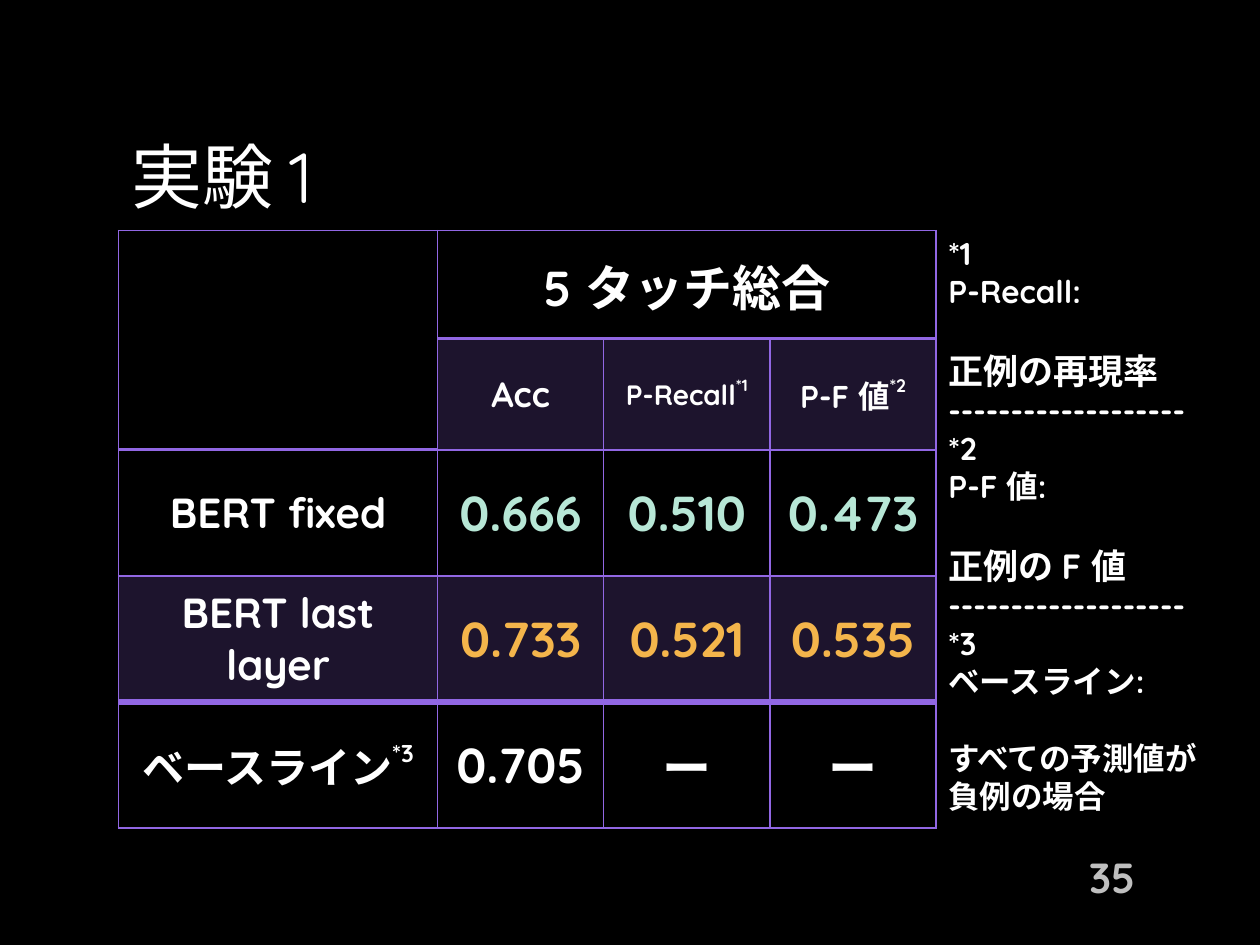
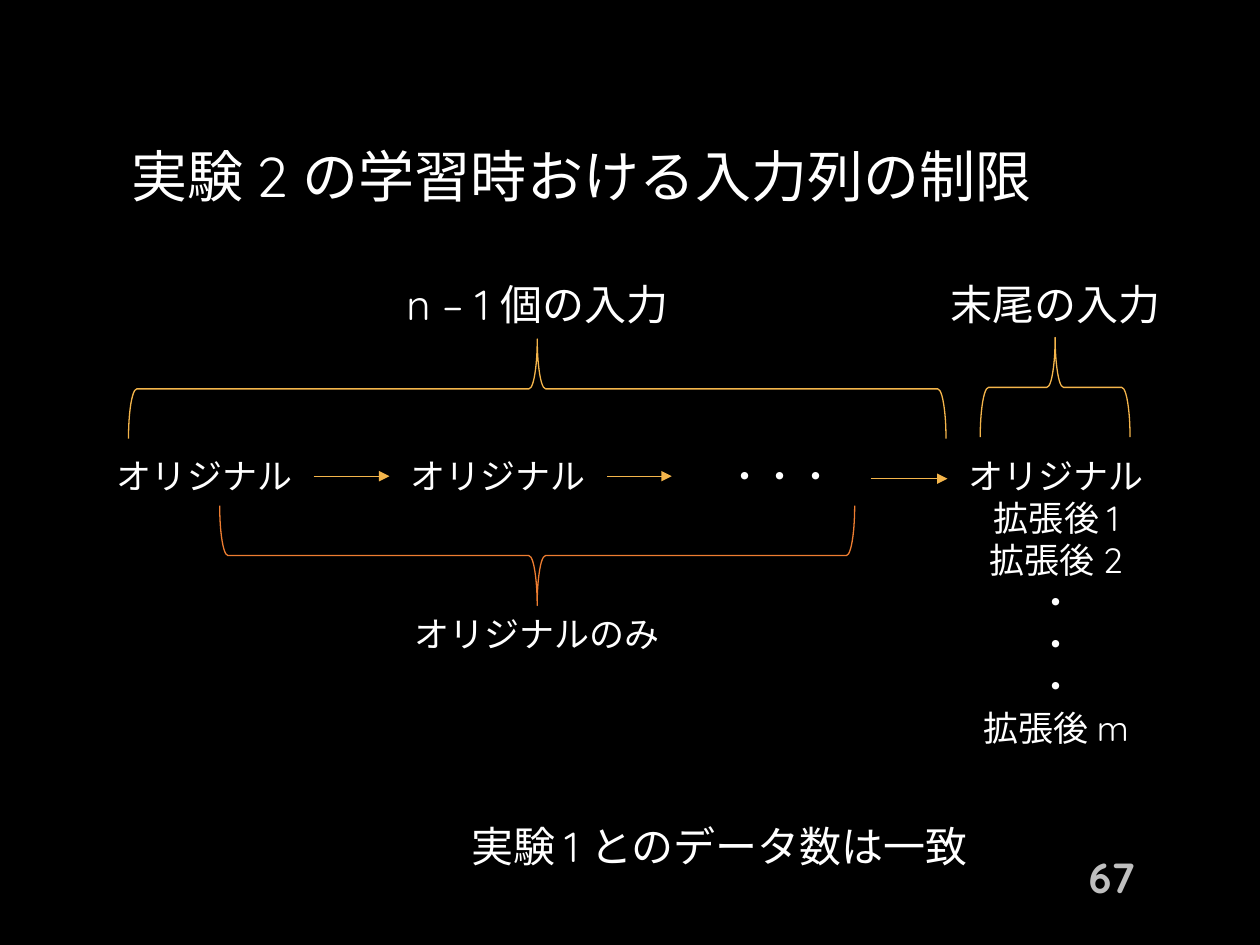
from lxml import etree
from pptx import Presentation
from pptx.dml.color import RGBColor
from pptx.enum.lang import MSO_LANGUAGE_ID
from pptx.enum.shapes import MSO_CONNECTOR, MSO_SHAPE
from pptx.enum.text import MSO_ANCHOR, MSO_AUTO_SIZE, PP_ALIGN
from pptx.oxml.ns import qn
from pptx.util import Cm, Pt

LEFT, CENTER, RIGHT = PP_ALIGN.LEFT, PP_ALIGN.CENTER, PP_ALIGN.RIGHT
TOP, MIDDLE = MSO_ANCHOR.TOP, MSO_ANCHOR.MIDDLE
NO_AUTOFIT = MSO_AUTO_SIZE.NONE
STRAIGHT = MSO_CONNECTOR.STRAIGHT
LEFT_BRACE = MSO_SHAPE.LEFT_BRACE
JAPANESE = MSO_LANGUAGE_ID.JAPANESE
LEFT_SIDE, RIGHT_SIDE = 1, 3

FONT = "Quicksand"
COLORS = {
    "background": "000000",
    "text": "FFFFFF",
    "number": "BFBFBF",
    "grid": "9167E3",
    "fixed": "B7E7D6",
    "accent": "F4B54B",
    "orange": "ED7D31",
}
TITLE_AREA = (2.39, 2.39, 20.62, 2.29)
NUMBER_AREA = (19.84, 17.17, 3.3, 1.02)

RESULTS = {
    "title": ("実験 1", 40.5),
    "number": "35",
    "position": (2.39, 4.65),
    "columns": [6.43, 3.35, 3.35, 3.35],
    "rows": [2.18, 2.24, 2.54, 2.54, 2.54],
    "cells": [
        [None, ("5 タッチ総合", 28, "text"), None, None],
        [None, ("Acc", 20, "text"), ("P-Recall", 16, "text", "*1"),
         ("P-F 値", 18, "text", "*2")],
        [("BERT fixed", 24, "text"), ("0.666", 28, "fixed"),
         ("0.510", 28, "fixed"), ("0.473", 28, "fixed")],
        [("BERT last layer", 24, "text"), ("0.733", 28, "accent"),
         ("0.521", 28, "accent"), ("0.535", 28, "accent")],
        [("ベースライン", 24, "text", "*3"), ("0.705", 28, "text"),
         ("ー", 28, "text"), ("ー", 28, "text")],
    ],
    "merges": [((0, 0), (1, 0)), ((0, 1), (0, 3))],
    "shaded": [(1, 1), (1, 2), (1, 3), (3, 0), (3, 1), (3, 2), (3, 3)],
}
NOTES_AREA = (18.87, 4.6, 6.17, 12.47)
NOTES = [
    ("*1", "P-Recall:", ["正例の再現率"], 20),
    ("*2", "P-F 値:", ["正例の F 値"], 20),
    ("*3", "ベースライン:", ["すべての予測値が", "負例の場合"], 18),
]
DIVIDER = "-------------------"
NOTE_GAP = 22.5

CHAIN = {
    "title": ("実験 2 の学習時おける入力列の制限", 32),
    "number": "67",
    "top": 9.04,
    "width": 4.39,
    "line_height": 0.87,
    "inset": 0.25,
    "steps": [
        (1.93, ["オリジナル"]),
        (7.85, ["オリジナル"]),
        (13.54, ["・・・"]),
        (19.1, ["オリジナル", "拡張後 1", "拡張後 2", "・", "・", "・", "拡張後 m"]),
    ],
    "last_arrow": (17.55, 9.65, 19.1, 9.65),
}
LABELS = [
    ("n – 1 個の入力", (7.29, 5.49, 7.09, 1.27), 24, CENTER),
    ("末尾の入力", (18.72, 5.49, 5.11, 1.27), 24, CENTER),
    ("オリジナルのみ", (8.1, 12.22, 5.46, 1.12), 20, CENTER),
    ("実験 1 とのデータ数は一致", (9.25, 16.41, 11.61, 1.27), 24, LEFT),
]
BRACE_DEPTH = 2.01
BRACES = [
    ((10.83, 7.84), 16.48, 90, "accent"),
    ((10.83, 11.2), 12.8, 270, "orange"),
    ((21.27, 7.81), 3.02, 90, "accent"),
]


def color(name):
    return RGBColor.from_string(COLORS[name])


def lengths(values):
    return [Cm(value) for value in values]


def add_run(paragraph, text, size, color_name="text", bold=False, baseline=None):
    run = paragraph.add_run()
    run.text = text
    formats = {"name": FONT, "size": Pt(size), "bold": bold, "language_id": JAPANESE}
    for attribute, value in formats.items():
        setattr(run.font, attribute, value)
    run.font.color.rgb = color(color_name)
    if baseline:
        run.font._element.set("baseline", str(baseline * 1000))


def add_text(slide, area, lines, alignment=LEFT, anchor=TOP):
    frame = slide.shapes.add_textbox(*lengths(area)).text_frame
    formats = {"word_wrap": True, "auto_size": NO_AUTOFIT, "vertical_anchor": anchor}
    for attribute, value in formats.items():
        setattr(frame, attribute, value)
    for index, line in enumerate(lines):
        paragraph = frame.add_paragraph() if index else frame.paragraphs[0]
        paragraph.alignment = alignment
        if line.get("gap"):
            paragraph.space_before = Pt(line["gap"])
        add_run(paragraph, **{key: line[key] for key in line if key != "gap"})
    return frame._parent


def add_slide(presentation, content):
    slide = presentation.slides.add_slide(presentation.slide_layouts[5])
    title = slide.shapes.title
    title.left, title.top, title.width, title.height = lengths(TITLE_AREA)
    title.text_frame.auto_size = NO_AUTOFIT
    title.text_frame.vertical_anchor = MIDDLE
    title.text_frame.paragraphs[0].alignment = LEFT
    add_run(title.text_frame.paragraphs[0], *content["title"])
    number = {"text": content["number"], "size": 24, "color_name": "number", "bold": True}
    add_text(slide, NUMBER_AREA, [number], RIGHT, MIDDLE)
    return slide


def edge_width(edge, column):
    if edge == 4:
        return 4
    return 2 if edge == 1 or (edge, column) == (2, 0) else 1


def set_borders(cell, row, column):
    properties = cell._tc.get_or_add_tcPr()
    widths = {"lnL": 1, "lnR": 1, "lnT": edge_width(row, column),
              "lnB": edge_width(row + 1, column)}
    for tag, width in widths.items():
        line = etree.SubElement(properties, qn(f"a:{tag}"), w=str(Pt(width)))
        fill = etree.SubElement(line, qn("a:solidFill"))
        etree.SubElement(fill, qn("a:srgbClr"), val=COLORS["grid"])


def shade(cell):
    cell.fill.solid()
    cell.fill.fore_color.rgb = color("grid")
    for element in cell._tc.tcPr.find(qn("a:solidFill")):
        etree.SubElement(element, qn("a:alpha"), val="20000")


def format_cell(cell, row, column, content):
    set_borders(cell, row, column)
    if (row, column) in RESULTS["shaded"]:
        shade(cell)
    else:
        cell.fill.background()
    formats = {"vertical_anchor": MIDDLE, "margin_left": Cm(0.18), "margin_right": Cm(0.18),
               "margin_top": Cm(0.1), "margin_bottom": Cm(0.1)}
    for attribute, value in formats.items():
        setattr(cell, attribute, value)
    if content:
        text, size, color_name, *marks = content
        paragraph = cell.text_frame.paragraphs[0]
        paragraph.alignment = CENTER
        add_run(paragraph, text, size, color_name, True)
        for mark in marks:
            add_run(paragraph, mark, size, color_name, True, 50)


def add_results(slide):
    columns, rows = RESULTS["columns"], RESULTS["rows"]
    area = (*RESULTS["position"], sum(columns), sum(rows))
    table = slide.shapes.add_table(len(rows), len(columns), *lengths(area)).table
    table.first_row = table.horz_banding = False
    for column, width in zip(table.columns, columns):
        column.width = Cm(width)
    for row, height in zip(table.rows, rows):
        row.height = Cm(height)
    for start, end in RESULTS["merges"]:
        table.cell(*start).merge(table.cell(*end))
    for row, contents in enumerate(RESULTS["cells"]):
        for column, content in enumerate(contents):
            format_cell(table.cell(row, column), row, column, content)


def add_notes_column(slide):
    lines = []
    for mark, term, meaning, size in NOTES:
        if lines:
            lines.append({"text": DIVIDER, "size": 18})
        lines += [{"text": text, "size": 18} for text in (mark, term)]
        lines += [{"text": text, "size": size, "gap": 0 if index else NOTE_GAP}
                  for index, text in enumerate(meaning)]
    add_text(slide, NOTES_AREA, [{**line, "bold": True} for line in lines])


def add_arrow(slide, points):
    arrow = slide.shapes.add_connector(STRAIGHT, *points)
    arrow.line.color.rgb = color("accent")
    arrow.line.width = Pt(0.75)
    etree.SubElement(arrow.line._get_or_add_ln(), qn("a:tailEnd"), type="triangle")
    etree.SubElement(arrow._element.spPr, qn("a:effectLst"))
    return arrow


def add_chain(slide):
    boxes = []
    for left, texts in CHAIN["steps"]:
        height = CHAIN["line_height"] * len(texts) + CHAIN["inset"]
        area = (left, CHAIN["top"], CHAIN["width"], height)
        lines = [{"text": text, "size": 20} for text in texts]
        boxes.append(add_text(slide, area, lines, CENTER))
    for source, target in zip(boxes[:2], boxes[1:3]):
        arrow = add_arrow(slide, (0, 0, 0, 0))
        arrow.begin_connect(source, RIGHT_SIDE)
        arrow.end_connect(target, LEFT_SIDE)
    add_arrow(slide, lengths(CHAIN["last_arrow"]))


def add_brace(slide, center, length, rotation, color_name):
    x, y = center
    area = (x - BRACE_DEPTH / 2, y - length / 2, BRACE_DEPTH, length)
    brace = slide.shapes.add_shape(LEFT_BRACE, *lengths(area))
    brace.rotation = rotation
    brace.shadow.inherit = False
    brace.fill.background()
    brace.line.color.rgb = color(color_name)
    brace.line.width = Pt(0.75)


def main():
    presentation = Presentation()
    presentation.slide_width, presentation.slide_height = lengths((25.4, 19.05))
    background = presentation.slide_master.background.fill
    background.solid()
    background.fore_color.rgb = color("background")

    results_slide = add_slide(presentation, RESULTS)
    add_results(results_slide)
    add_notes_column(results_slide)

    chain_slide = add_slide(presentation, CHAIN)
    add_chain(chain_slide)
    for brace in BRACES:
        add_brace(chain_slide, *brace)
    for text, area, size, alignment in LABELS:
        add_text(chain_slide, area, [{"text": text, "size": size}], alignment)

    presentation.save("out.pptx")


if __name__ == "__main__":
    main()
